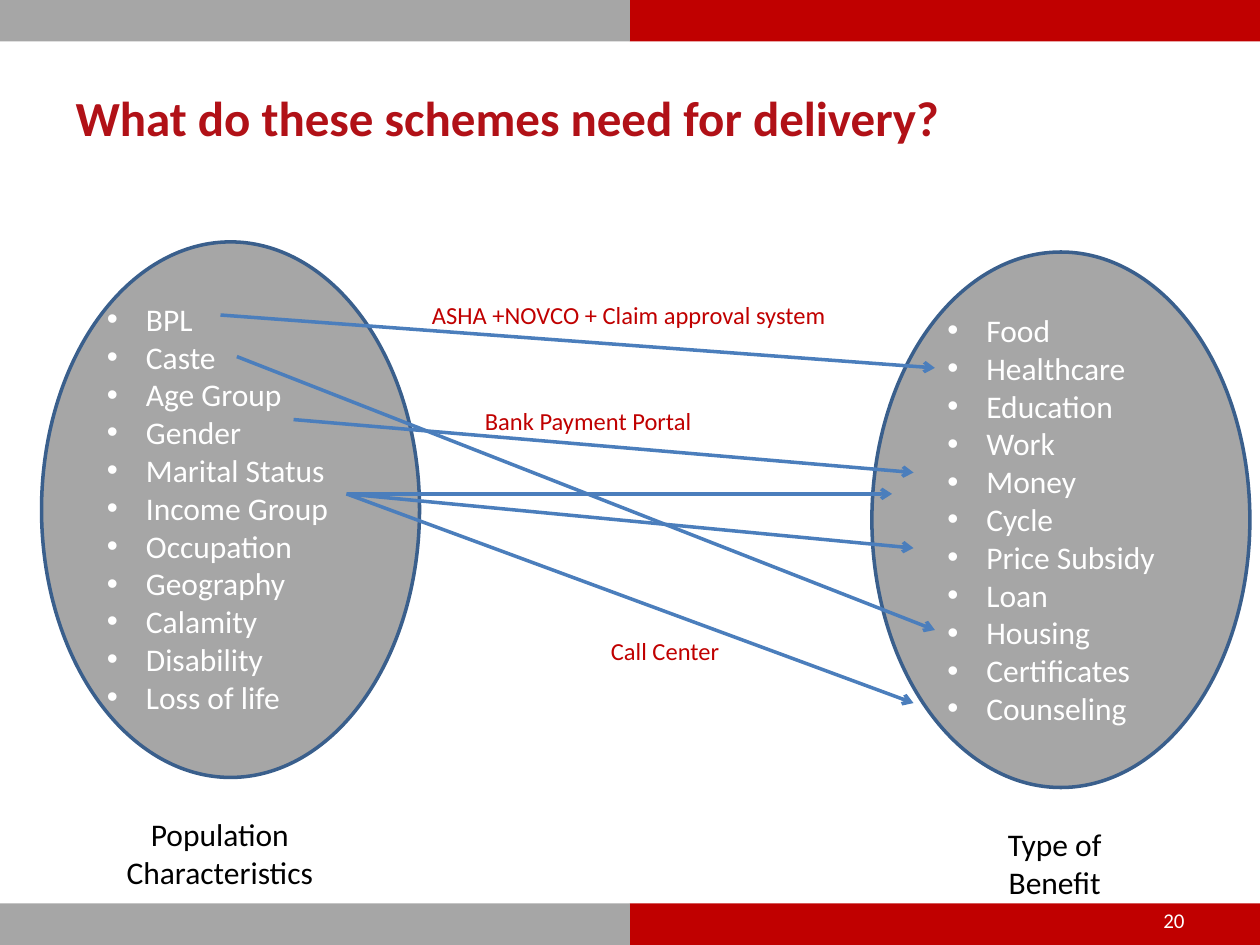
from lxml.etree import SubElement
from pptx import Presentation
from pptx.dml.color import RGBColor
from pptx.enum.shapes import MSO_CONNECTOR, MSO_SHAPE
from pptx.enum.text import MSO_ANCHOR, PP_ALIGN
from pptx.oxml.ns import qn
from pptx.util import Inches, Pt

FONT = "Calibri"
RED = RGBColor(0xC0, 0x00, 0x00)
TITLE_RED = RGBColor(0xB1, 0x11, 0x17)
GRAY = RGBColor(0xA6, 0xA6, 0xA6)
OUTLINE_BLUE = RGBColor(0x3A, 0x5F, 0x8C)
ARROW_BLUE = RGBColor(0x4B, 0x7E, 0xBC)
WHITE = RGBColor(0xFF, 0xFF, 0xFF)
BLACK = RGBColor(0x00, 0x00, 0x00)

CHARACTERISTICS = ["BPL", "Caste", "Age Group", "Gender", "Marital Status",
                   "Income Group", "Occupation", "Geography", "Calamity",
                   "Disability", "Loss of life"]
BENEFITS = ["Food", "Healthcare", "Education", "Work", "Money", "Cycle",
            "Price Subsidy", "Loan", "Housing", "Certificates", "Counseling"]

# Start and end points of each arrow
INCOME_POINT = (2.75, 3.92)
ARROWS = [
    ((1.75, 2.5), (7.42, 2.92)),
    ((2.33, 3.33), (7.25, 3.75)),
    ((1.88, 2.83), (7.42, 5)),
    (INCOME_POINT, (7.25, 5.58)),
    (INCOME_POINT, (7.08, 3.92)),
    (INCOME_POINT, (7.25, 4.35)),
]


def add_bullet(paragraph):
    properties = paragraph._p.get_or_add_pPr()
    properties.set("marL", str(Inches(0.31)))
    properties.set("indent", str(-Inches(0.31)))
    SubElement(properties, qn("a:buFont"), typeface="Arial")
    SubElement(properties, qn("a:buChar"), char="•")


def write_text(shape, lines, size=18, color=BLACK, bold=False,
               align=PP_ALIGN.LEFT, anchor=MSO_ANCHOR.TOP, bullets=False):
    frame = shape.text_frame
    frame.word_wrap = True
    frame.vertical_anchor = anchor
    frame.text = "\n".join(lines)
    for paragraph in frame.paragraphs:
        paragraph.alignment = align
        if bullets:
            add_bullet(paragraph)
        font = paragraph.runs[0].font
        font.name, font.size, font.bold = FONT, Pt(size), bold
        font.color.rgb = color


def add_text(slide, lines, left, top, width, height, **text_format):
    box = slide.shapes.add_textbox(Inches(left), Inches(top),
                                   Inches(width), Inches(height))
    write_text(box, lines, **text_format)


def add_filled_shape(slide, kind, left, top, width, height, fill, line=None):
    shape = slide.shapes.add_shape(kind, Inches(left), Inches(top),
                                   Inches(width), Inches(height))
    shape.shadow.inherit = False
    shape.fill.solid()
    shape.fill.fore_color.rgb = fill
    if line is None:
        shape.line.fill.background()
    else:
        shape.line.color.rgb = line
        shape.line.width = Pt(2)


def add_arrow(slide, start, end):
    points = [Inches(value) for value in (*start, *end)]
    connector = slide.shapes.add_connector(MSO_CONNECTOR.STRAIGHT, *points)
    connector.line.color.rgb = ARROW_BLUE
    connector.line.width = Pt(2)
    SubElement(connector.line._get_or_add_ln(), qn("a:tailEnd"), type="arrow")
    SubElement(connector._element.spPr, qn("a:effectLst"))


def add_set(slide, items, left, top, list_left, list_top):
    add_filled_shape(slide, MSO_SHAPE.OVAL, left, top, 3, 4.25, GRAY, OUTLINE_BLUE)
    add_text(slide, items, list_left, list_top, 2.25, 3.74,
             color=WHITE, bullets=True)


def main():
    presentation = Presentation()
    presentation.slide_width = Inches(10)
    presentation.slide_height = Inches(7.5)
    slide = presentation.slides.add_slide(presentation.slide_layouts[5])

    # Top and bottom bands
    for top in (0, 7.17):
        for left, color in ((5, RED), (0, GRAY)):
            add_filled_shape(slide, MSO_SHAPE.RECTANGLE, left, top, 5, 0.33, color)

    # Title and slide number
    title = slide.shapes.title
    title.left, title.top = Inches(0.5), Inches(0.3)
    title.width, title.height = Inches(9), Inches(1.25)
    write_text(title, ["What do these schemes need for delivery?"], size=28,
               color=TITLE_RED, bold=True, anchor=MSO_ANCHOR.MIDDLE)
    add_text(slide, ["20"], 7.17, 7.1, 2.33, 0.4, size=12, color=WHITE,
             align=PP_ALIGN.RIGHT, anchor=MSO_ANCHOR.MIDDLE)

    # The two sets and the arrows between them
    add_set(slide, CHARACTERISTICS, 0.33, 1.92, 0.75, 2.33)
    add_set(slide, BENEFITS, 6.92, 2, 7.42, 2.42)
    for start, end in ARROWS:
        add_arrow(slide, start, end)

    # Delivery channels
    for label, left, top, width in (
            ("ASHA +NOVCO + Claim approval system", 3.33, 2.33, 3.58),
            ("Bank Payment Portal", 3.75, 3.17, 2.83),
            ("Call Center", 4.75, 5, 2.17)):
        add_text(slide, [label], left, top, width, 0.34, size=14, color=RED)

    # Captions under the sets
    for caption, left, top, width in (
            ("Population Characteristics", 0.58, 6.42, 2.33),
            ("Type of Benefit", 7.83, 6.5, 1.08)):
        add_text(slide, [caption], left, top, width, 0.71, align=PP_ALIGN.CENTER)

    presentation.save("out.pptx")


if __name__ == "__main__":
    main()
